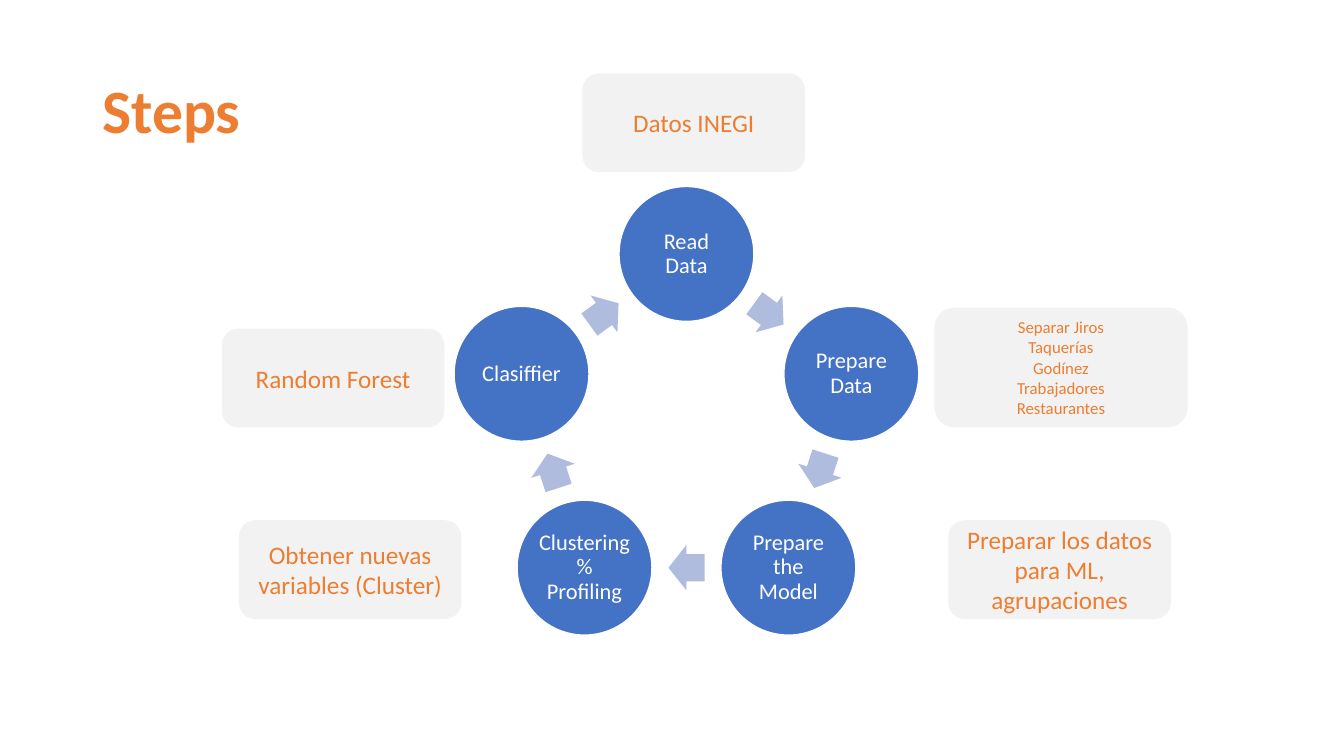
from math import cos, radians, sin

from pptx import Presentation
from pptx.dml.color import RGBColor
from pptx.enum.shapes import MSO_SHAPE
from pptx.enum.text import MSO_ANCHOR, MSO_AUTO_SIZE, PP_ALIGN
from pptx.util import Cm, Pt

# Content
TITLE = "Steps"
STEPS = ["Read Data", "Prepare Data", "Prepare the Model",
         "Clustering % Profiling", "Clasiffier"]
NOTE_SIZE = (5.61, 2.49)
NOTES = [  # left, top, (width, height), font size, lines
    (14.68, 1.85, NOTE_SIZE, 18, ["Datos INEGI"]),
    (23.55, 7.75, (6.38, 3.02), 12,
     ["Separar Jiros", "Taquerías", "Godínez", "Trabajadores", "Restaurantes"]),
    (5.59, 8.28, NOTE_SIZE, 18, ["Random Forest"]),
    (23.9, 13.11, NOTE_SIZE, 18, ["Preparar los datos para ML, agrupaciones"]),
    (6.02, 13.11, NOTE_SIZE, 18, ["Obtener nuevas variables (Cluster)"]),
]

# Look and cycle geometry, in centimetres
FONT = "Calibri"
ORANGE, BLUE, LAVENDER, GREY, WHITE = "ED7D31", "4472C4", "B0BCDE", "F2F2F2", "FFFFFF"
CENTER_X, CENTER_Y, RADIUS = 17.3, 10.77, 4.37
DIAMETER = 3.4
ARROW_WIDTH, ARROW_HEIGHT = 0.91, 1.15


def color(value):
    return RGBColor.from_string(value)


def write(frame, lines, size, ink, bold=False, align=PP_ALIGN.CENTER,
          spacing=1.0, inset=None):
    frame.word_wrap = True
    frame.auto_size = MSO_AUTO_SIZE.NONE
    frame.vertical_anchor = MSO_ANCHOR.MIDDLE
    if inset is not None:
        frame.margin_left = frame.margin_right = Cm(inset)
        frame.margin_top = frame.margin_bottom = Cm(inset)
    for index, line in enumerate(lines):
        para = frame.paragraphs[0] if index == 0 else frame.add_paragraph()
        para.alignment = align
        para.line_spacing = spacing
        span = para.add_run()
        span.text = line
        span.font.name = FONT
        span.font.size = Pt(size)
        span.font.bold = bold
        span.font.color.rgb = color(ink)


def add_box(page, kind, left, top, width, height, fill, outline=None):
    box = page.shapes.add_shape(kind, Cm(left), Cm(top), Cm(width), Cm(height))
    box.shadow.inherit = False
    box.fill.solid()
    box.fill.fore_color.rgb = color(fill)
    if outline:
        box.line.color.rgb = color(outline)
        box.line.width = Pt(1)
    else:
        box.line.fill.background()
    return box


def add_on_ring(page, kind, angle, radius, width, height, fill, outline=None):
    """Centre a shape on a ring, angle in degrees clockwise from the top."""
    x = CENTER_X + radius * sin(radians(angle))
    y = CENTER_Y - radius * cos(radians(angle))
    return add_box(page, kind, x - width / 2, y - height / 2, width, height, fill, outline)


def main():
    deck = Presentation()
    deck.slide_width, deck.slide_height = Cm(33.87), Cm(19.05)
    page = deck.slides.add_slide(deck.slide_layouts[5])

    # Title
    title = page.shapes.title
    title.left, title.top, title.width, title.height = Cm(2.33), Cm(1.01), Cm(29.21), Cm(3.68)
    write(title.text_frame, [TITLE], 44, ORANGE, bold=True, align=PP_ALIGN.LEFT, spacing=0.9)

    # Cycle: each step is followed by an arrow halfway to the next
    turn = 360 / len(STEPS)
    for index, step in enumerate(STEPS):
        angle = index * turn
        circle = add_on_ring(page, MSO_SHAPE.OVAL, angle, RADIUS,
                             DIAMETER, DIAMETER, BLUE, WHITE)
        write(circle.text_frame, [step], 16, WHITE, spacing=0.9, inset=0.05)

        halfway = angle + turn / 2
        arrow = add_on_ring(page, MSO_SHAPE.RIGHT_ARROW, halfway,
                            RADIUS * cos(radians(turn / 2)),
                            ARROW_WIDTH, ARROW_HEIGHT, LAVENDER)
        arrow.adjustments[0] = 0.6
        arrow.adjustments[1] = 0.5
        arrow.rotation = halfway

    # Notes around the cycle
    for left, top, (width, height), size, lines in NOTES:
        note = add_box(page, MSO_SHAPE.ROUNDED_RECTANGLE, left, top, width, height, GREY)
        write(note.text_frame, lines, size, ORANGE)

    deck.save("out.pptx")


if __name__ == "__main__":
    main()
